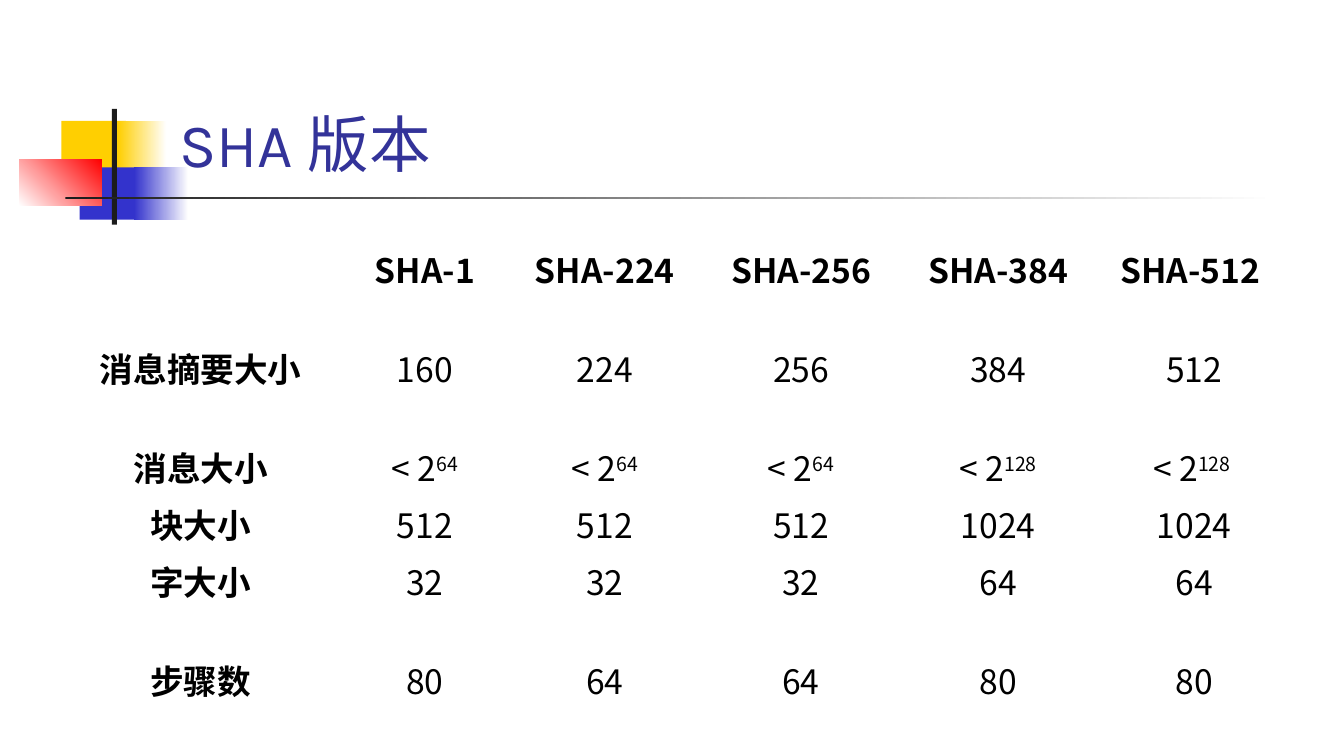
from pptx import Presentation
from pptx.dml.color import RGBColor
from pptx.enum.shapes import MSO_SHAPE as Shape
from pptx.enum.text import MSO_ANCHOR as Anchor, PP_ALIGN as Align
from pptx.oxml.ns import qn
from pptx.util import Inches, Pt
from lxml import etree

COLORS = {
    "yellow": "FFCF01", "blue": "3333CC", "red": "FF0000",
    "dark": "1C1C1C", "white": "FFFFFF", "title": "333399", "text": "000000",
}
TITLE_FONT, BODY_FONT = "Karla", "Noto Sans CJK SC"

# left, top, width, height, colours (two make a gradient), angle
DECORATION = [
    (0.61, 1.2, 0.64, 0.52, ["yellow"], 0),
    (1.17, 1.2, 0.48, 0.52, ["yellow", "white"], 0),
    (0.79, 1.66, 0.62, 0.52, ["blue"], 0),
    (1.33, 1.66, 0.54, 0.52, ["blue", "white"], 0),
    (0.19, 1.58, 0.82, 0.46, ["white", "red"], 45),
    (1.11, 1.08, 0.05, 1.15, ["dark"], 0),
    (0.65, 1.95, 12, 0.03, ["dark", "white"], 0),
]

# "^" starts a superscript
VERSIONS = [
    ["", "SHA-1", "SHA-224", "SHA-256", "SHA-384", "SHA-512 "],
    ["消息摘要大小", "160", "224", "256", "384", "512"],
    ["消息大小", "< 2^64", "< 2^64", "< 2^64", "< 2^128", "< 2^128 "],
    ["块大小", "512", "512", "512", "1024", "1024"],
    ["字大小", "32", "32", "32", "64", "64"],
    ["步骤数", "80", "64", "64", "80", "80"],
]
COLUMN_WIDTHS = [2.86, 1.59, 1.98, 1.91, 2, 1.89]
ROW_HEIGHTS = [0.98, 0.98, 0.98, 0.57, 0.57, 0.98]
NO_STYLE = "{2D5ABB26-0587-4C30-8999-92F81FD0307C}"


def rgb(name):
    return RGBColor.from_string(COLORS[name])


def write_text(paragraph, text, font, size, color, bold=False, align=Align.LEFT):
    paragraph.alignment = align
    for index, part in enumerate(text.split("^")):
        run = paragraph.add_run()
        run.text = part
        run.font.name = font
        run.font.size = Pt(size)
        run.font.bold = bold
        run.font.color.rgb = rgb(color)
        properties = run.font._element
        etree.SubElement(properties, qn("a:ea")).set("typeface", BODY_FONT)
        if index:
            properties.set("baseline", "30000")


def add_block(slide, left, top, width, height, colors, angle):
    shape = slide.shapes.add_shape(
        Shape.RECTANGLE, Inches(left), Inches(top), Inches(width), Inches(height))
    shape.shadow.inherit = False
    shape.line.fill.background()
    if len(colors) == 1:
        shape.fill.solid()
        shape.fill.fore_color.rgb = rgb(colors[0])
        return
    shape.fill.gradient()
    shape.fill.gradient_angle = angle
    for stop, color, position in zip(shape.fill.gradient_stops, colors, (0, 1)):
        stop.color.rgb = rgb(color)
        stop.position = position


def add_title(slide, text):
    box = slide.shapes.add_textbox(Inches(1.68), Inches(0.23), Inches(11.36), Inches(1.6))
    frame = box.text_frame
    frame.word_wrap = True
    frame.vertical_anchor = Anchor.BOTTOM
    write_text(frame.paragraphs[0], text, font=TITLE_FONT, size=44, color="title")


def fill_cell(cell, text, bold):
    cell.fill.background()
    cell.vertical_anchor = Anchor.BOTTOM
    cell.margin_left = cell.margin_right = Inches(0.02)
    cell.margin_top, cell.margin_bottom = Inches(0.01), 0
    if text:
        write_text(cell.text_frame.paragraphs[0], text, font=BODY_FONT, size=24,
                   color="text", bold=bold, align=Align.CENTER)


def add_version_table(slide):
    frame = slide.shapes.add_table(
        len(VERSIONS), len(COLUMN_WIDTHS), Inches(0.56), Inches(1.93),
        Inches(sum(COLUMN_WIDTHS)), Inches(sum(ROW_HEIGHTS)))
    table = frame.table
    table.first_row = table.horz_banding = False
    table._tbl.tblPr.find(qn("a:tableStyleId")).text = NO_STYLE
    for column, width in zip(table.columns, COLUMN_WIDTHS):
        column.width = Inches(width)
    for row, height in zip(table.rows, ROW_HEIGHTS):
        row.height = Inches(height)
    for row_index, texts in enumerate(VERSIONS):
        for column_index, text in enumerate(texts):
            is_header = row_index == 0 or column_index == 0
            fill_cell(table.cell(row_index, column_index), text, bold=is_header)


def main():
    presentation = Presentation()
    presentation.slide_width, presentation.slide_height = Inches(13.33), Inches(7.5)
    slide = presentation.slides.add_slide(presentation.slide_layouts[6])

    # Coloured blocks and rules beside the title
    for block in DECORATION:
        add_block(slide, *block)

    # Title and comparison of versions
    add_title(slide, "SHA 版本")
    add_version_table(slide)
    presentation.save("out.pptx")


if __name__ == "__main__":
    main()
